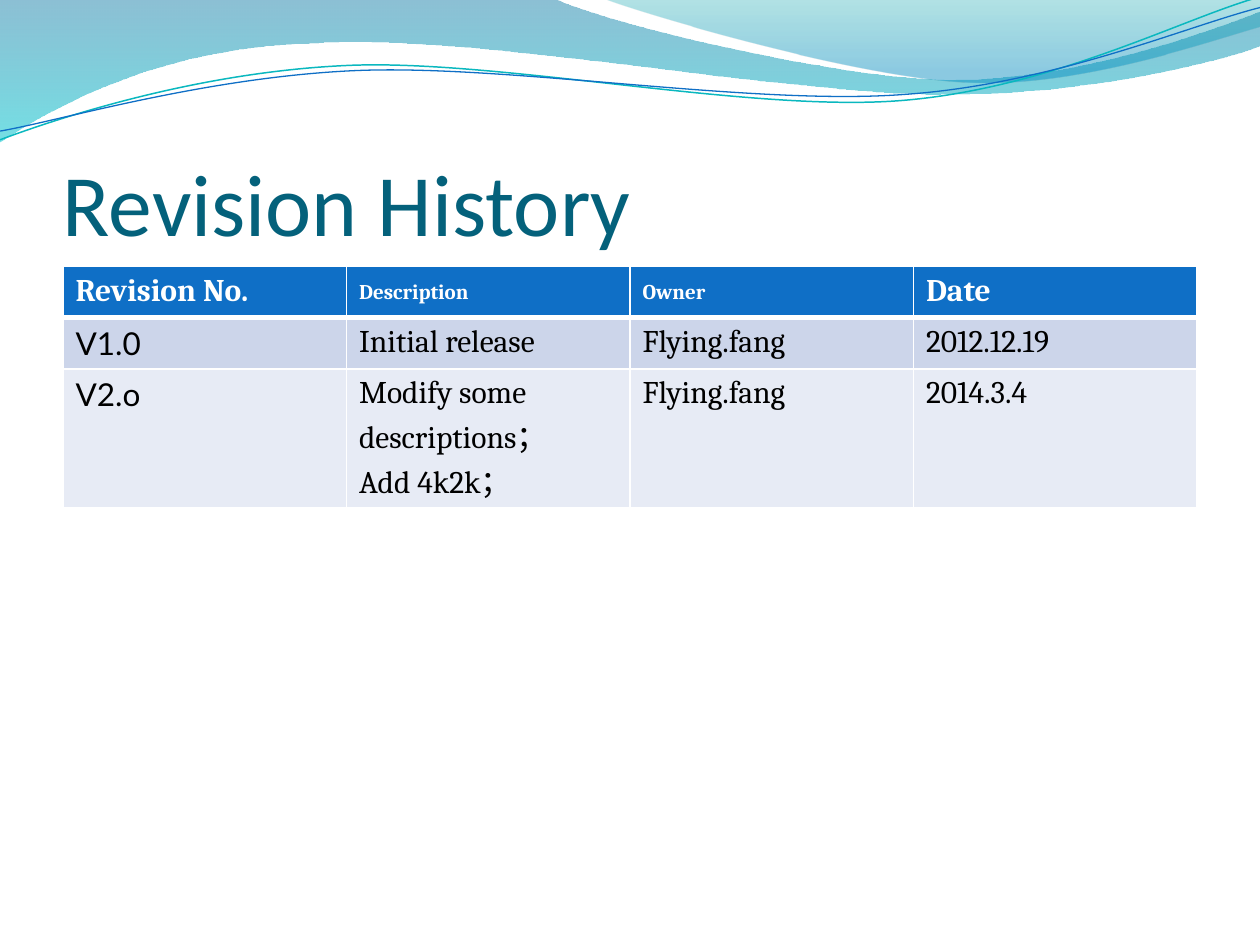
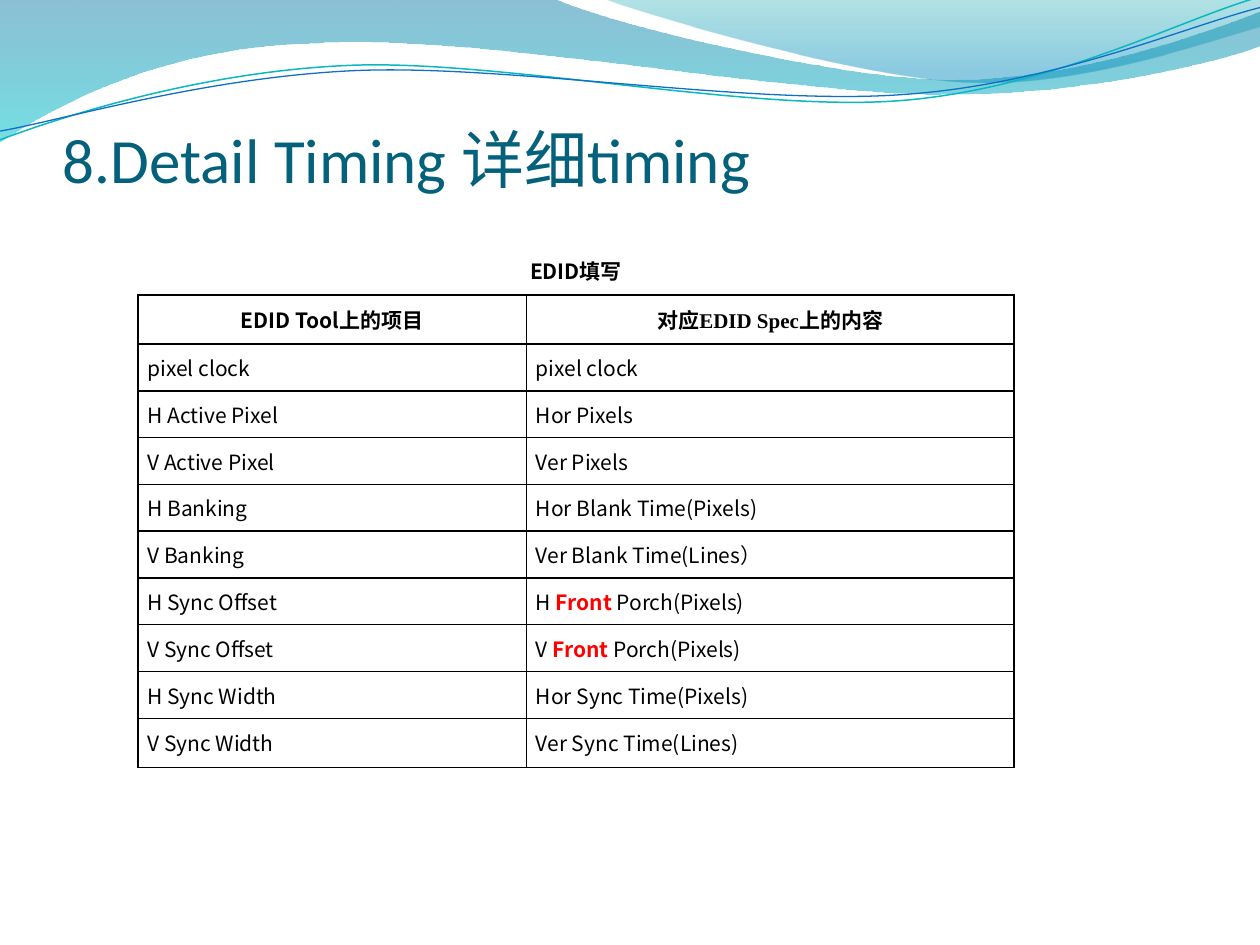
from lxml import etree
from pptx import Presentation
from pptx.dml.color import RGBColor
from pptx.enum.text import MSO_ANCHOR, PP_ALIGN
from pptx.oxml.ns import qn
from pptx.util import Pt

TOP, MID, LOW = MSO_ANCHOR.TOP, MSO_ANCHOR.MIDDLE, MSO_ANCHOR.BOTTOM
LEFT, CENTER = PP_ALIGN.LEFT, PP_ALIGN.CENTER

# Content
HISTORY = [
    ["Revision No.", "Description", "Owner", "Date"],
    ["V1.0", "Initial release", "Flying.fang", "2012.12.19"],
    ["V2.o", "Modify some descriptions；\nAdd 4k2k；", "Flying.fang", "2014.3.4"],
]
# Text between asterisks is stressed
TIMING = [
    ["EDID填写", ""],
    ["EDID Tool上的项目", "对应EDID Spec上的内容"],
    ["pixel clock", "pixel clock"],
    ["H Active Pixel", "Hor Pixels"],
    ["V Active Pixel", "Ver Pixels"],
    ["H Banking", "Hor Blank Time(Pixels)"],
    ["V Banking", "Ver Blank Time(Lines）"],
    ["H Sync Offset", "H *Front* Porch(Pixels)"],
    ["V Sync Offset", "V *Front* Porch(Pixels)"],
    ["H Sync Width", "Hor Sync Time(Pixels)"],
    ["V Sync Width", "Ver Sync Time(Lines)"],
]

# Shared look
HEX = {
    "title": "04617B", "head": "0F6FC6", "odd": "CCD5EA", "even": "E7EBF5",
    "white": "FFFFFF", "black": "000000", "red": "FF0000",
    "teal": "0AB8BF", "blue": "0F6FC6",
    "deep": "0074A1", "aqua": "00C6CF", "sea": "00A1A9", "sky": "008BBF",
}
SANS, SERIF, TIMES = "Noto Sans CJK SC", "Cambria", "Times New Roman"

# Waves in points: two numbers make a line, six make a curve
BANDS = [
    ([(0, 0), (316.8, -0.7), (342.7, 12.2, 478.1, 45.4, 545.8, 45.4),
      (614.2, 45.4, 689.8, 18.7, 720, 6.5), (720.7, 25.9),
      (707.8, 31.7, 626.4, 54.7, 537.1, 54),
      (447.8, 54, 275, 20.2, 185, 24.5), (92.9, 25.9, 33.1, 59.8, -0.7, 81.4)],
     [(0, "deep", 45), (1, "aqua", 55)]),
    ([(344.9, -0.7), (366.5, 7.9, 491, 44.6, 553.7, 46.8),
      (616.3, 49.7, 691.9, 23, 720, 15.1), (720, 0)],
     [(0, "sea", 30), (0.8, "sky", 45)]),
]
LINES = [
    ([(0, 79.9), (34.6, 67, 113.8, 41, 199.4, 37.4),
      (284.4, 33.8, 427, 64.1, 513.4, 57.6),
      (599.8, 51.1, 675.4, 10.8, 718.6, -1.4)], "teal", 0.85),
    ([(0, 74.9), (33.8, 69.1, 118.1, 43.9, 203.8, 40.3),
      (290.2, 36.7, 429.8, 60.5, 516.2, 54),
      (601.9, 48.2, 677.5, 15.1, 720, 4.3)], "blue", 0.75),
]


def rgb(name):
    return RGBColor.from_string(HEX[name])


def draw(slide, parts, close):
    """Lay all points out as lines, then join each three into a curve."""
    pts = [(Pt(p[i]), Pt(p[i + 1])) for p in parts for i in range(0, len(p), 2)]
    form = slide.shapes.build_freeform(*pts[0])
    form.add_line_segments(pts[1:], close=close)
    shape = form.convert_to_shape()
    shape.shadow.inherit = False
    legs = iter(list(shape.element.iter(qn("a:lnTo"))))
    for part in parts[1:]:
        leg = next(legs)
        if len(part) == 6:
            curve = etree.Element(qn("a:cubicBezTo"))
            leg.addprevious(curve)
            for old in (leg, next(legs), next(legs)):
                curve.append(old[0])
                old.getparent().remove(old)
    return shape


def add_waves(slide):
    for parts, stops in BANDS:
        band = draw(slide, parts, True)
        band.line.fill.background()
        band.fill.gradient()
        band.fill.gradient_angle = 270
        for stop, (pos, name, _) in zip(band.fill.gradient_stops, stops):
            stop.position = pos
            stop.color.rgb = rgb(name)
        tags = band.element.iter(qn("a:srgbClr"))
        for tag, (_, _, alpha) in zip(tags, stops):
            etree.SubElement(tag, qn("a:alpha"), val=str(alpha * 1000))
    for parts, name, width in LINES:
        line = draw(slide, parts, False)
        line.fill.background()
        line.line.color.rgb = rgb(name)
        line.line.width = Pt(width)


def style(run, face, size, name, bold=False):
    run.font.size, run.font.bold = Pt(size), bold
    run.font.color.rgb = rgb(name)
    run.font.name = face
    etree.SubElement(run.font._element, qn("a:ea"), typeface=SANS)


def add_title(slide, text, size, height):
    box = slide.shapes.add_textbox(Pt(36), Pt(55.4), Pt(648), Pt(height))
    frame = box.text_frame
    frame.word_wrap, frame.vertical_anchor = True, LOW
    frame.margin_left = frame.margin_right = frame.margin_bottom = 0
    frame.margin_top = Pt(3.6)
    frame.text = text
    style(frame.paragraphs[0].runs[0], "Calibri", size, "title")


def add_grid(slide, rows, left, top, widths, heights):
    table = slide.shapes.add_table(
        len(rows), len(widths), Pt(left), Pt(top),
        Pt(sum(widths)), Pt(sum(heights))).table
    table.first_row = table.horz_banding = False
    for col, width in zip(table.columns, widths):
        col.width = Pt(width)
    for row, height in zip(table.rows, heights):
        row.height = Pt(height)
    return table


def edge(cell, name, **widths):
    """Draw the sides L, R, T and B; a width of 0 hides a side."""
    props = cell._tc.get_or_add_tcPr()
    for side in "LRTB":
        width = widths.get(side, 1)
        line = etree.SubElement(props, qn("a:ln" + side), w=str(Pt(width)))
        if width:
            fill = etree.SubElement(line, qn("a:solidFill"))
            etree.SubElement(fill, qn("a:srgbClr"), val=HEX[name])
        else:
            etree.SubElement(line, qn("a:noFill"))


def write(cell, text, face, size, name, bold=False, align=LEFT, anchor=TOP):
    cell.vertical_anchor = anchor
    frame = cell.text_frame
    frame.text = text
    for para, line in zip(frame.paragraphs, text.split("\n")):
        para.alignment = align
        pieces = line.split("*")
        para.runs[0].text = pieces[0]
        for piece in pieces[1:]:
            para.add_run().text = piece
        for i, run in enumerate(para.runs):
            hot = i % 2 == 1
            style(run, face, size, "red" if hot else name, bold or hot)


def add_history(slide):
    table = add_grid(slide, HISTORY, 36, 152.4, [162] * 4, [29.2, 29.2, 79.6])
    for r, row in enumerate(HISTORY):
        for c, text in enumerate(row):
            cell = table.cell(r, c)
            head = r == 0
            small = head and c in (1, 2)
            edge(cell, "white", T=3 if r == 1 else 1, B=3 if head else 1)
            cell.fill.solid()
            cell.fill.fore_color.rgb = rgb(("head", "odd", "even")[r])
            write(cell, text, "Lato" if c == 0 and not head else SERIF,
                  12 if small else 18, "white" if head else "black", head,
                  anchor=MID if small else TOP)


def add_timing(slide):
    heights = [28.1] * 2 + [26.75] * 8 + [28.1]
    table = add_grid(slide, TIMING, 78.8, 140.4, [222, 278.7], heights)
    for r, row in enumerate(TIMING):
        for c, text in enumerate(row):
            cell = table.cell(r, c)
            cell.margin_left = cell.margin_right = Pt(5.4)
            cell.margin_top = cell.margin_bottom = 0
            if r == 0:
                edge(cell, "black", L=0, R=0, T=0)
            else:
                edge(cell, "black")
            cell.fill.background()
            if text:
                head = r < 2
                write(cell, text, TIMES if (r, c) == (1, 1) else SANS, 12,
                      "black", head, CENTER if head else LEFT, MID)
    table.cell(0, 0).merge(table.cell(0, 1))


# Slides: title, title size, title height, body
SLIDES = [
    ("Revision History", 50, 90, add_history),
    ("8.Detail Timing 详细timing", 36, 56.9, add_timing),
]


def main():
    deck = Presentation()
    deck.slide_width, deck.slide_height = Pt(720), Pt(540)
    for title, size, height, body in SLIDES:
        slide = deck.slides.add_slide(deck.slide_layouts[6])
        add_waves(slide)
        add_title(slide, title, size, height)
        body(slide)
    deck.save("out.pptx")


if __name__ == "__main__":
    main()
